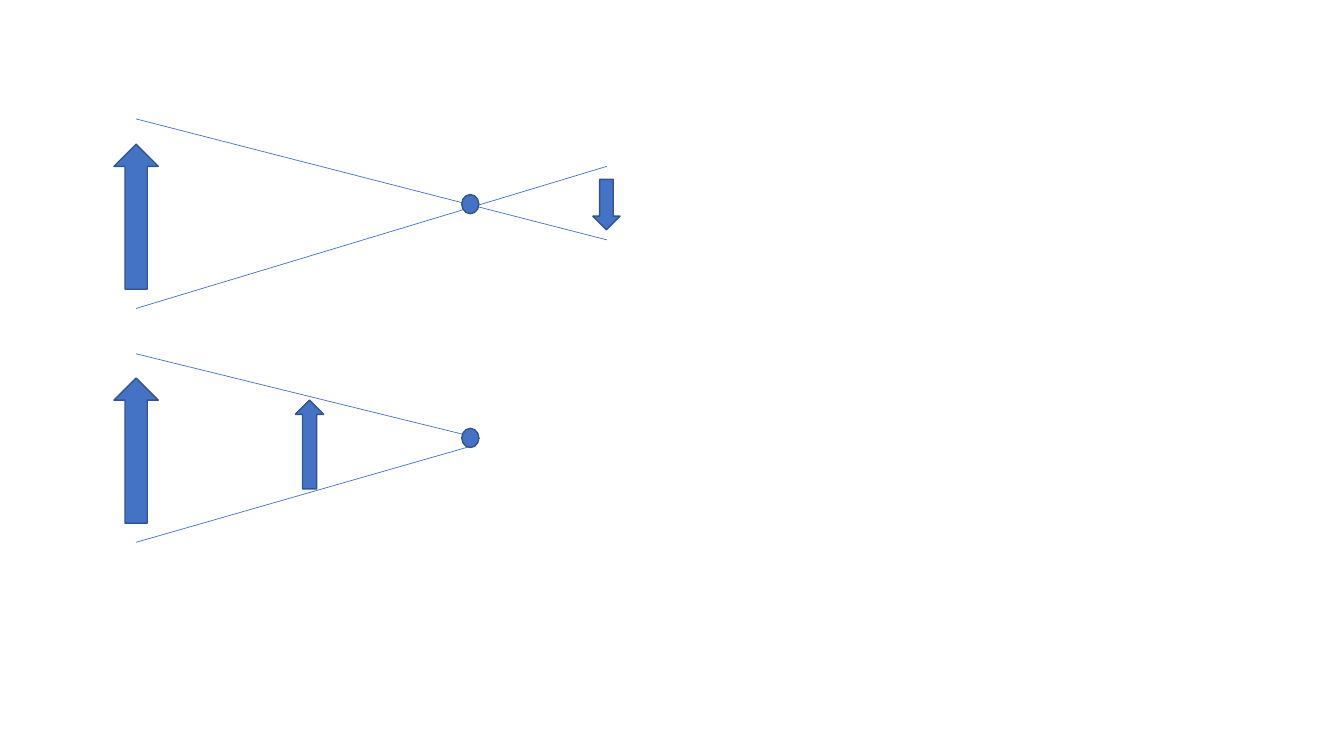
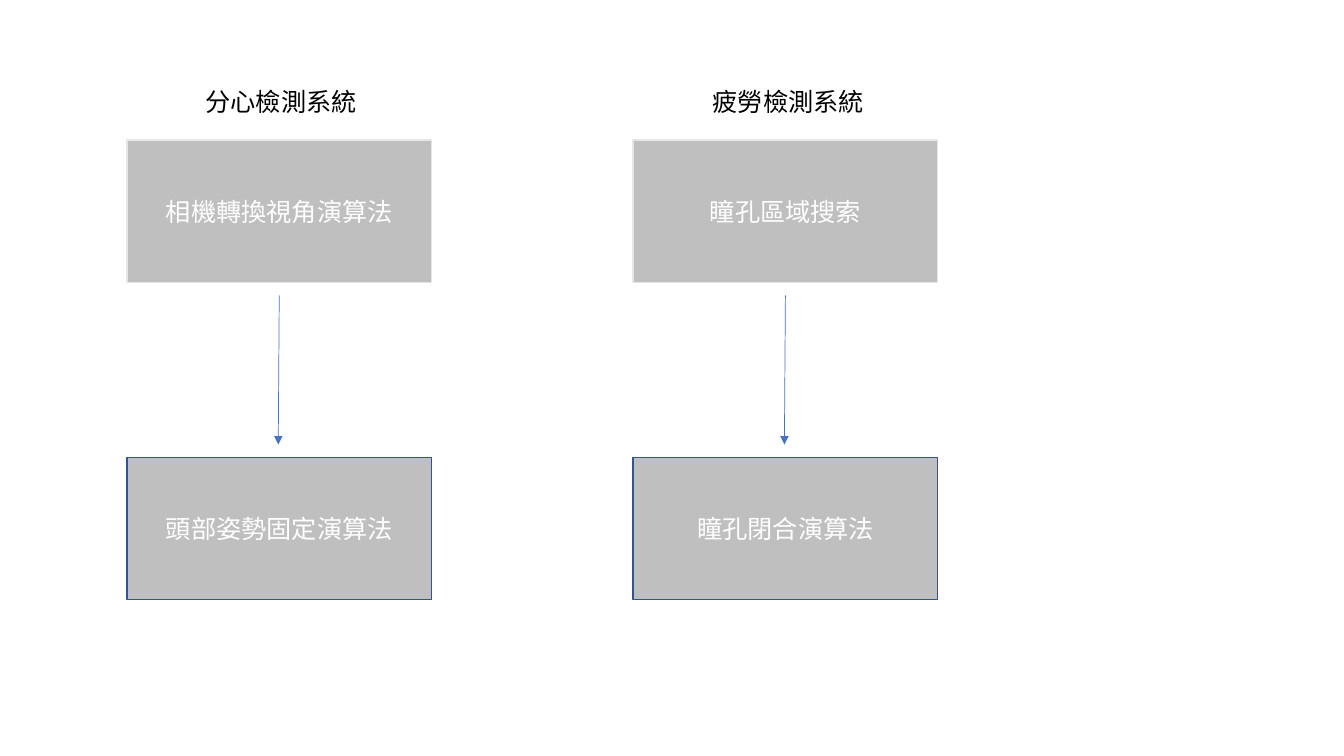
from dataclasses import dataclass
from lxml import etree
from pptx import Presentation
from pptx.dml.color import RGBColor
from pptx.enum.shapes import MSO_CONNECTOR, MSO_SHAPE
from pptx.enum.text import MSO_ANCHOR, PP_ALIGN
from pptx.oxml.ns import qn
from pptx.util import Inches, Pt

ARROW = MSO_SHAPE.DOWN_ARROW
DOT = MSO_SHAPE.OVAL
BOX = MSO_SHAPE.RECTANGLE
STRAIGHT = MSO_CONNECTOR.STRAIGHT
LEFT, CENTER = PP_ALIGN.LEFT, PP_ALIGN.CENTER
TOP, MIDDLE = MSO_ANCHOR.TOP, MSO_ANCHOR.MIDDLE


@dataclass(frozen=True)
class Theme:
    blue: str = "4472C4"
    navy: str = "325491"
    gray: str = "BFBFBF"
    pale: str = "E7E6E6"
    white: str = "FFFFFF"
    black: str = "000000"
    font: str = "Calibri"
    size: float = 18
    edge: float = 1
    thin: float = 0.5


THEME = Theme()

VIEWS = [
    {"rays": [(1.18, 6.02, 2.38), (3.06, 6.02, 1.65)],
     "image": (5.88, 1.78, 0.27, 0.5), "turn": 0},
    {"rays": [(1.19, 4.76, 2.03), (3.06, 4.73, 2.09)],
     "image": (2.93, 1.65, 0.28, 0.88), "turn": 180},
]
VIEW_STEP = 2.32
RAY_LEFT = 1.35
OBJECT = (1.13, 1.43, 0.44, 1.44)
PUPIL = (4.58, 1.93, 0.17, 0.19)

SYSTEMS = [
    ("分心檢測系統", 0.68, "相機轉換視角演算法", "頭部姿勢固定演算法"),
    ("疲勞檢測系統", 0.69, "瞳孔區域搜索", "瞳孔閉合演算法"),
]
FLOW_LEFT, FLOW_STEP = 1.26, 5.02
BOX_W, BOX_H = 3.02, 1.41
BOX_TOPS = (1.39, 4.54)
LABEL_TOP, LABEL_W, LABEL_H = 0.81, 3.19, 0.4
GAP = 0.13


def color(code):
    return RGBColor.from_string(code)


def write(shape, text, ink=THEME.white, align=CENTER, anchor=MIDDLE):
    frame = shape.text_frame
    frame.word_wrap = True
    frame.vertical_anchor = anchor
    para = frame.paragraphs[0]
    para.alignment = align
    run = para.add_run()
    run.text = text
    run.font.name = THEME.font
    run.font.size = Pt(THEME.size)
    run.font.color.rgb = color(ink)


def draw(slide, kind, area, fill=THEME.blue, edge=THEME.navy, turn=0):
    shape = slide.shapes.add_shape(kind, *map(Inches, area))
    shape.shadow.inherit = False
    shape.fill.solid()
    shape.fill.fore_color.rgb = color(fill)
    shape.line.color.rgb = color(edge)
    shape.line.width = Pt(THEME.edge)
    shape.rotation = turn
    return shape


def link(slide, start, end, arrow=False):
    line = slide.shapes.add_connector(STRAIGHT, *map(Inches, start + end))
    line.line.color.rgb = color(THEME.blue)
    line.line.width = Pt(THEME.thin)
    if arrow:
        etree.SubElement(line.line._get_or_add_ln(), qn("a:tailEnd"), type="triangle")
    etree.SubElement(line._element.spPr, qn("a:effectLst"))


def lower(area, drop):
    left, top, width, height = area
    return left, top + drop, width, height


def show_views(slide):
    for row, view in enumerate(VIEWS):
        drop = row * VIEW_STEP
        for top, right, end in view["rays"]:
            link(slide, (RAY_LEFT, top + drop), (right, end + drop))
        draw(slide, ARROW, lower(OBJECT, drop), turn=180)
        draw(slide, DOT, lower(PUPIL, drop))
        draw(slide, ARROW, lower(view["image"], drop), turn=view["turn"])


def show_flows(slide):
    for col, (title, inset, *steps) in enumerate(SYSTEMS):
        left = FLOW_LEFT + col * FLOW_STEP
        area = (left + inset, LABEL_TOP, LABEL_W, LABEL_H)
        label = slide.shapes.add_textbox(*map(Inches, area))
        write(label, title, ink=THEME.black, align=LEFT, anchor=TOP)
        for step, top, edge in zip(steps, BOX_TOPS, (THEME.pale, THEME.navy)):
            box = draw(slide, BOX, (left, top, BOX_W, BOX_H), THEME.gray, edge)
            write(box, step)
        mid = left + BOX_W / 2
        first, last = BOX_TOPS
        link(slide, (mid, first + BOX_H + GAP), (mid - 0.01, last - GAP), arrow=True)


deck = Presentation()
deck.slide_width, deck.slide_height = Inches(13.33), Inches(7.5)
blank = deck.slide_layouts[6]
for show in (show_views, show_flows):
    show(deck.slides.add_slide(blank))
deck.save("out.pptx")
